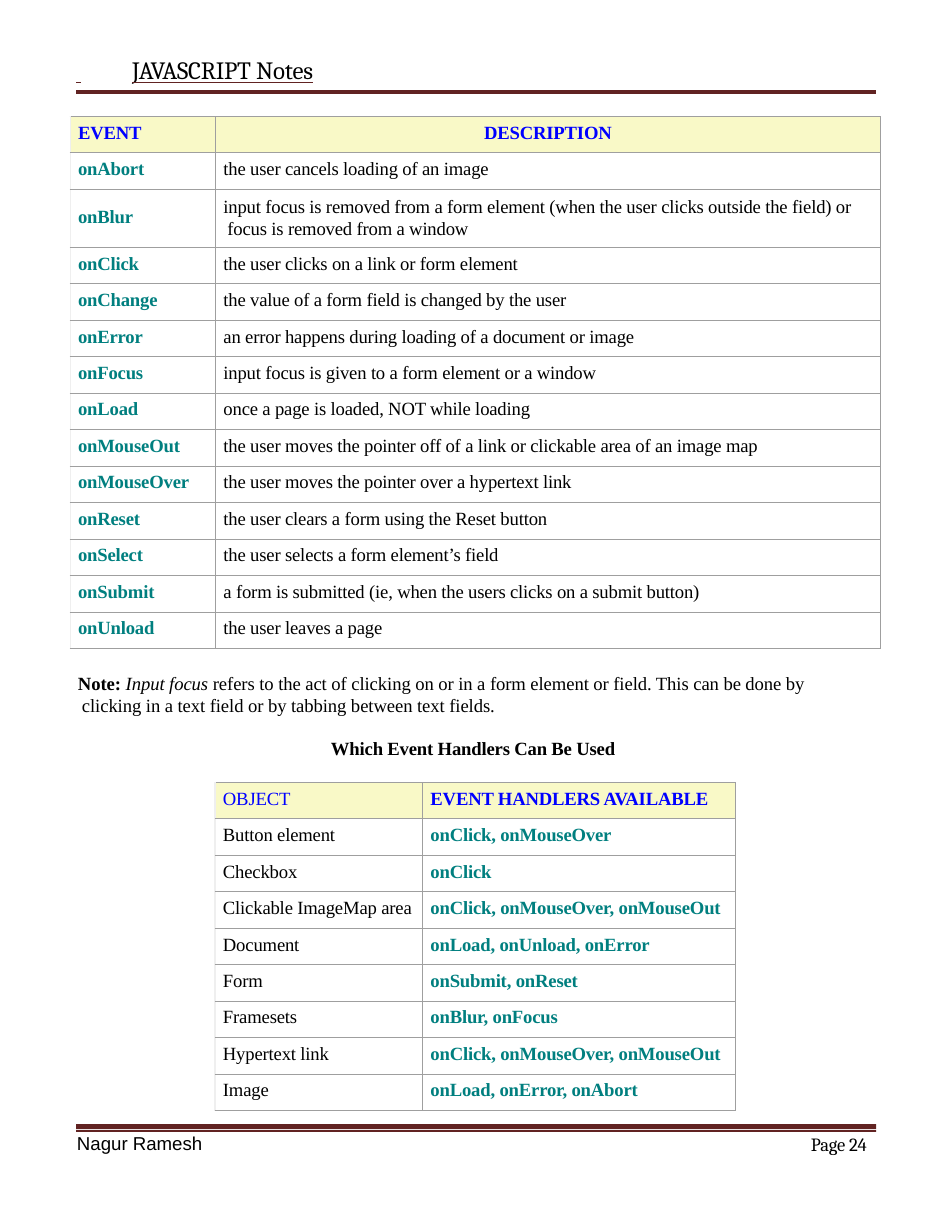
import pptx
import pptx.util
import pptx.dml.color
import pptx.enum.text
import pptx.oxml.ns
import lxml.etree

PX = 914400 / 112
SERIF, TITLE_FONT, SANS = "Times New Roman", "Cambria", "Arial"
BLACK, BLUE, TEAL, MAROON = "000000", "0000FF", "007F7F", "612322"
CREAM, GREY, PALE = "F9F9C7", "9F9F9F", "EFEFEF"

EVENTS = [
    ("EVENT", "DESCRIPTION"),
    ("onAbort", "the user cancels loading of an image"),
    ("onBlur", "input focus is removed from a form element (when the user clicks "
               "outside the field) or focus is removed from a window"),
    ("onClick", "the user clicks on a link or form element"),
    ("onChange", "the value of a form field is changed by the user"),
    ("onError", "an error happens during loading of a document or image"),
    ("onFocus", "input focus is given to a form element or a window"),
    ("onLoad", "once a page is loaded, NOT while loading"),
    ("onMouseOut", "the user moves the pointer off of a link or clickable area of an image map"),
    ("onMouseOver", "the user moves the pointer over a hypertext link"),
    ("onReset", "the user clears a form using the Reset button"),
    ("onSelect", "the user selects a form element’s field"),
    ("onSubmit", "a form is submitted (ie, when the users clicks on a submit button)"),
    ("onUnload", "the user leaves a page"),
]
HANDLERS = [
    ("OBJECT", "EVENT HANDLERS AVAILABLE"),
    ("Button element", "onClick, onMouseOver"),
    ("Checkbox", "onClick"),
    ("Clickable ImageMap area", "onClick, onMouseOver, onMouseOut"),
    ("Document", "onLoad, onUnload, onError"),
    ("Form", "onSubmit, onReset"),
    ("Framesets", "onBlur, onFocus"),
    ("Hypertext link", "onClick, onMouseOver, onMouseOut"),
    ("Image", "onLoad, onError, onAbort"),
]


def px(length):
    """Turn pixels into EMU."""
    return pptx.util.Emu(round(length * PX))


def rgb(value):
    """Turn a hex string into a colour."""
    return pptx.dml.color.RGBColor.from_string(value)


def sub(parent, tag, **attributes):
    """Append a DrawingML element."""
    return lxml.etree.SubElement(parent, pptx.oxml.ns.qn("a:" + tag), attributes)


def solid(parent, color):
    """Append a solid fill."""
    sub(sub(parent, "solidFill"), "srgbClr", val=color)


def style(run, font=SERIF, size=12, color=BLACK, bold=False, italic=False, spacing=-0.1):
    """Format one run."""
    run.font.name, run.font.size = font, pptx.util.Pt(size)
    run.font.bold, run.font.italic = bold, italic
    run.font.color.rgb = rgb(color)
    run._r.get_or_add_rPr().set("spc", str(round(spacing * 100)))


def indent(paragraph, left, first=0):
    """Set the left margin and first-line indent of a paragraph."""
    properties = paragraph._p.get_or_add_pPr()
    properties.set("marL", str(px(left)))
    properties.set("indent", str(px(first)))


def margins(frame, top):
    """Keep only a top inset."""
    frame.margin_left = frame.margin_right = frame.margin_bottom = 0
    frame.margin_top = px(top)


def text_box(slide, box, top=0):
    """Add an empty wrapping text box and return its frame."""
    frame = slide.shapes.add_textbox(*map(px, box)).text_frame
    frame.word_wrap = True
    frame.auto_size = pptx.enum.text.MSO_AUTO_SIZE.SHAPE_TO_FIT_TEXT
    margins(frame, top)
    return frame


def bands(slide, box, spans):
    """Draw one outline of full-width bands, each a (top, height) within the box."""
    left, top, width = box
    right = left + width
    outline = slide.shapes.build_freeform(right, top + spans[0][0], scale=PX)
    for offset, height in spans:
        upper, lower = top + offset, top + offset + height
        outline.move_to(right, upper)
        outline.add_line_segments([(left, upper), (left, lower), (right, lower)], close=True)
    rule = outline.convert_to_shape()
    rule.shadow.inherit = False
    rule.fill.solid()
    rule.fill.fore_color.rgb = rgb(MAROON)
    rule.line.fill.background()


def header(slide, box):
    """Place the underlined page title and its rule."""
    left, top, width, height = box
    frame = text_box(slide, box, 1)
    frame.text = " \tJAVASCRIPT Notes\t"
    title = frame.paragraphs[0]
    title.space_before = pptx.util.Pt(1.1)
    indent(title, 1)
    stops = sub(title._p.get_or_add_pPr(), "tabLst")
    for stop in (301, 801):
        sub(stops, "tab", pos=str(px(stop)), algn="l")
    for run in title.runs:
        style(run, TITLE_FONT, 16)
        run.font.underline = True
        properties = run._r.get_or_add_rPr()
        underline = sub(properties, "uFill")
        solid(underline, MAROON)
        properties.find(pptx.oxml.ns.qn("a:latin")).addprevious(underline)
    bands(slide, (left + 1, top + 35.5, 800), [(0, 4.5)])


def footer(slide, box):
    """Place the double rule, the author and the page number."""
    left, top, width = box
    bands(slide, box, [(6, 1), (0, 4.5)])
    labels = [("Nagur Ramesh", SANS, 0, 129, 0), ("Page 24", TITLE_FONT, 734, 68, 1)]
    for text, font, offset, label_width, inset in labels:
        frame = text_box(slide, (left + offset, top + 7, label_width, 24), inset)
        frame.text = text
        indent(frame.paragraphs[0], 1)
        style(frame.paragraphs[0].runs[0], font, spacing=0 if font == SANS else -0.1)


def borders(cell, left_color):
    """Draw the four borders of a cell."""
    properties = cell._tc.get_or_add_tcPr()
    for side in "LRTB":
        line = sub(properties, "ln" + side, w="9525")
        solid(line, left_color if side == "L" else GREY)


def grid(slide, box, rows, widths, heights, colors, heading_bold, space_before):
    """Place a bordered two-column table whose teal column is bold."""
    left, top = box
    shape = slide.shapes.add_table(
        len(rows), 2, px(left), px(top), px(sum(widths)), px(sum(heights)))
    table = shape.table
    table.first_row = table.horz_banding = False
    for column, width in zip(table.columns, widths):
        column.width = px(width)
    for r, (entries, height) in enumerate(zip(rows, heights)):
        table.rows[r].height = px(height)
        for c, entry in enumerate(entries):
            cell = table.cell(r, c)
            cell.text_frame.text = entry
            margins(cell, 6)
            paragraph = cell.text_frame.paragraphs[0]
            paragraph.space_before = pptx.util.Pt(space_before[c])
            indent(paragraph, 8)
            color = BLUE if r == 0 else colors[c]
            bold = heading_bold[c] if r == 0 else color == TEAL
            style(paragraph.runs[0], color=color, bold=bold)
            borders(cell, GREY if c else PALE)
            if r == 0:
                cell.fill.solid()
                cell.fill.fore_color.rgb = rgb(CREAM)
            else:
                cell.fill.background()
    return table


def events(slide, box):
    """Place the table of events with its one two-line row."""
    heights = [36, 37, 58] + [36.5] * 11
    table = grid(slide, box, EVENTS, (145.5, 665), heights, (TEAL, BLACK), (True, True), (3.8, 3.6))
    heading = table.cell(0, 1).text_frame.paragraphs[0]
    heading.alignment = pptx.enum.text.PP_ALIGN.CENTER
    indent(heading, 0)
    for c, (inset, before) in enumerate([(17, 10.8), (7, 4.5)]):
        margins(table.cell(2, c), inset)
        table.cell(2, c).text_frame.paragraphs[0].space_before = pptx.util.Pt(before)
    description = table.cell(2, 1).text_frame.paragraphs[0]
    description.line_spacing = pptx.util.Pt(13.9)
    indent(description, 12, -4)


def note(slide, box):
    """Place the note on input focus and the heading of the second table."""
    frame = text_box(slide, box, 3)
    remark, heading = frame.paragraphs[0], frame.add_paragraph()
    parts = [("Note: ", True, False), ("Input focus ", False, True),
             ("refers to the act of clicking on or in a form element or field. This can be "
              "done by clicking in a text field or by tabbing between text fields.", False, False)]
    for text, bold, italic in parts:
        run = remark.add_run()
        run.text = text
        style(run, bold=bold, italic=italic, spacing=-0.05)
    remark.space_before = pptx.util.Pt(1.9)
    remark.line_spacing = pptx.util.Pt(13.9)
    indent(remark, 5, -4)
    heading.text = "Which Event Handlers Can Be Used"
    heading.space_before = pptx.util.Pt(13.3)
    indent(heading, 254)
    style(heading.runs[0], bold=True)


deck = pptx.Presentation()
deck.slide_width, deck.slide_height = px(952), px(1232)
page = deck.slides.add_slide(deck.slide_layouts[6])
header(page, (75, 54, 803, 34))
footer(page, (76, 1124.5, 800))
events(page, (70, 116.5))
note(page, (77, 670, 739, 91))
grid(page, (215, 782.5), HANDLERS, (207.5, 313), [36, 37] + [36.5] * 7,
     (BLACK, TEAL), (False, True), (3.6, 3.9))
deck.save("out.pptx")
